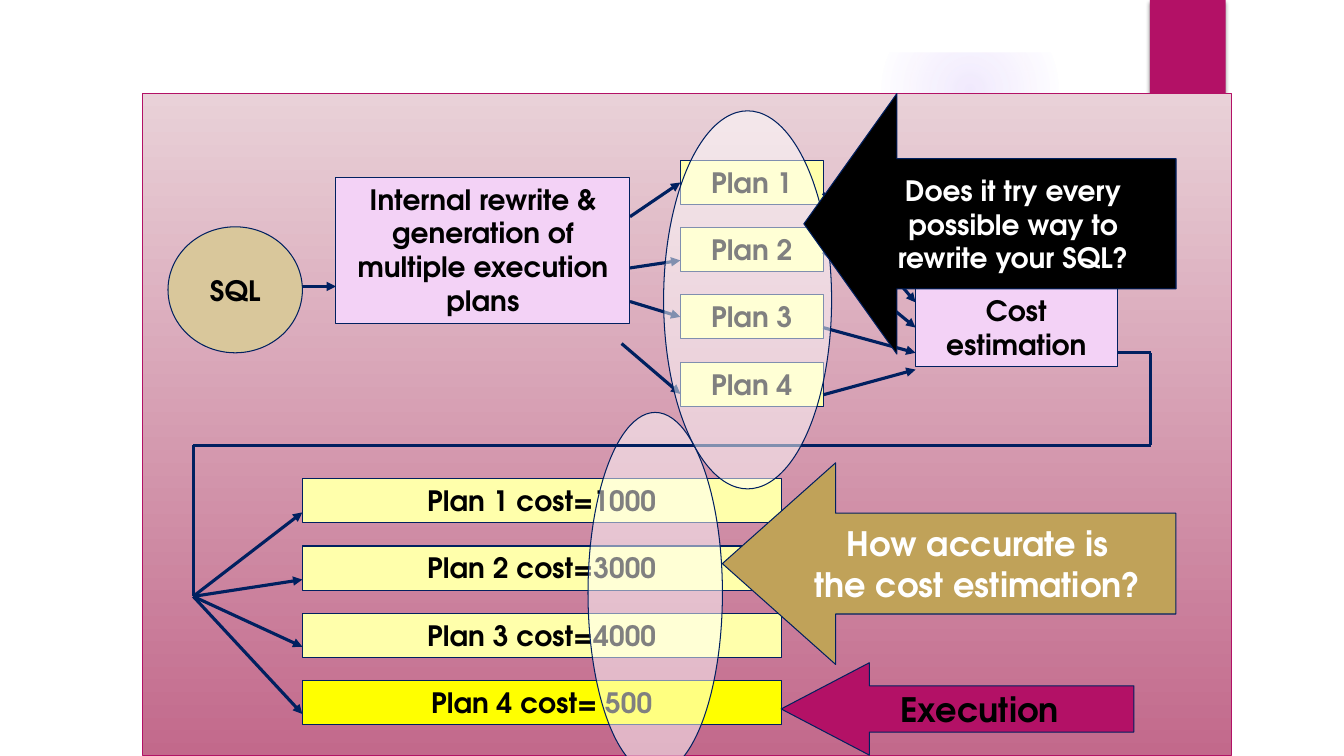
from lxml import etree
from pptx import Presentation
from pptx.dml.color import RGBColor
from pptx.enum.shapes import MSO_CONNECTOR, MSO_SHAPE
from pptx.enum.text import MSO_ANCHOR, PP_ALIGN
from pptx.oxml import parse_xml
from pptx.oxml.ns import nsdecls, qn
from pptx.util import Inches, Pt

RECTANGLE = MSO_SHAPE.RECTANGLE
ELLIPSE = MSO_SHAPE.OVAL
LEFT_ARROW = MSO_SHAPE.LEFT_ARROW
STRAIGHT = MSO_CONNECTOR.STRAIGHT
TOP, MIDDLE = MSO_ANCHOR.TOP, MSO_ANCHOR.MIDDLE
CENTER = PP_ALIGN.CENTER
LEFT_SIDE = 1

COLUMNS, ROWS = 160, 90
ROW_PITCH, PLAN_HEIGHT = 8, 5.25

FONT = "TeX Gyre Adventor"
NAVY, BLACK, WHITE = "002060", "000000", "FFFFFF"
MAGENTA, GOLD, SAND = "B31166", "C0A259", "D9C79B"
PINK, PALE_YELLOW, YELLOW = "F3D2F6", "FFFFAB", "FFFF00"
VIOLET = "9B6BF2"


def grid(cells):
    """Length of a number of grid cells, twelve to the inch."""
    return Inches(cells / 12)


def color(value):
    return RGBColor.from_string(value)


class Diagram:
    """Draws in the diagram's style on one slide, in grid columns and rows."""

    def __init__(self, presentation):
        self.slide = presentation.slides.add_slide(presentation.slide_layouts[6])

    def shape(self, kind, left, top, width, height, fill, line=NAVY):
        shape = self.slide.shapes.add_shape(
            kind, grid(left), grid(top), grid(width), grid(height))
        shape.shadow.inherit = False
        shape.fill.solid()
        shape.fill.fore_color.rgb = color(fill)
        if line:
            shape.line.color.rgb = color(line)
            shape.line.width = Pt(0.75)
        else:
            shape.line.fill.background()
        return shape

    def label(self, shape, text, size=20, font_color=BLACK, anchor=MIDDLE, wrap=False):
        frame = shape.text_frame
        frame.word_wrap = wrap
        frame.vertical_anchor = anchor
        frame.text = text
        for paragraph in frame.paragraphs:
            paragraph.alignment = CENTER
            for run in paragraph.runs:
                run.font.name = FONT
                run.font.size = Pt(size)
                run.font.bold = True
                run.font.color.rgb = color(font_color)

    def box(self, left, top, width, height, fill, text):
        box = self.shape(RECTANGLE, left, top, width, height, fill)
        self.label(box, text, anchor=TOP, wrap=True)
        return box

    def callout(self, left, top, width, height, fill, head, text, size, font_color):
        arrow = self.shape(LEFT_ARROW, left, top, width, height, fill)
        arrow.adjustments[0] = 0.5
        arrow.adjustments[1] = head
        self.label(arrow, text, size, font_color)

    def highlight(self, left, top, width, height):
        """Half-transparent white ellipse."""
        ellipse = self.shape(ELLIPSE, left, top, width, height, WHITE)
        tint = ellipse._element.spPr.find(qn("a:solidFill")).find(qn("a:srgbClr"))
        etree.SubElement(tint, qn("a:alpha"), val="50000")

    def line(self, start, end, arrow=True):
        connector = self.slide.shapes.add_connector(
            STRAIGHT, *(grid(cells) for cells in (*start, *end)))
        connector.line.color.rgb = color(NAVY)
        connector.line.width = Pt(2.25)
        properties = connector._element.spPr
        if arrow:
            etree.SubElement(properties.find(qn("a:ln")), qn("a:tailEnd"), type="triangle")
        etree.SubElement(properties, qn("a:effectLst"))
        return connector

    def glow(self, left, top, size):
        """Violet circle that fades out towards its rim."""
        circle = self.shape(ELLIPSE, left, top, size, size, VIOLET, None)
        stops = "".join(
            f'<a:gs pos="{position}000"><a:srgbClr val="{VIOLET}">'
            f'<a:alpha val="{opacity}000"/></a:srgbClr></a:gs>'
            for position, opacity in ((0, 14), (36, 7), (73, 0)))
        gradient = parse_xml(
            f'<a:gradFill {nsdecls("a")}><a:gsLst>{stops}</a:gsLst><a:path path="circle">'
            '<a:fillToRect l="50000" t="50000" r="50000" b="50000"/></a:path></a:gradFill>')
        properties = circle._element.spPr
        properties.replace(properties.find(qn("a:solidFill")), gradient)

    def tab(self, left, top, width, height):
        """Magenta tab with a soft shadow below it."""
        tab = self.shape(RECTANGLE, left, top, width, height, MAGENTA, None)
        tab._element.spPr.find(qn("a:effectLst")).append(parse_xml(
            f'<a:outerShdw {nsdecls("a")} blurRad="{Pt(3)}" dist="{Pt(2)}" dir="5400000">'
            f'<a:srgbClr val="{BLACK}"><a:alpha val="45000"/></a:srgbClr></a:outerShdw>'))

    def backdrop(self, left, top, width, height):
        backdrop = self.shape(RECTANGLE, left, top, width, height, WHITE, MAGENTA)
        backdrop.fill.gradient()
        backdrop.fill.gradient_angle = 270
        for stop, position, tint in zip(
                backdrop.fill.gradient_stops, (0, 1), ("E9D1D8", "C2698B")):
            stop.position = position
            stop.color.rgb = color(tint)


def main():
    presentation = Presentation()
    presentation.slide_width = grid(COLUMNS)
    presentation.slide_height = grid(ROWS)
    diagram = Diagram(presentation)

    diagram.glow(105, 0.1, 21)
    diagram.shape(RECTANGLE, 0, 0, COLUMNS, 6.24, WHITE, None)
    diagram.tab(136.9, 0, 9, 15)
    diagram.backdrop(17, 11.15, 129.6, 78.85)

    # Rewriting the statement into plans
    diagram.line((36, 34.1), (40, 34.1))
    diagram.box(40, 21.1, 35, 17.4, PINK,
                "Internal rewrite & generation of multiple execution plans")
    plans = [diagram.box(81, 19.1 + ROW_PITCH * index, 17, PLAN_HEIGHT,
                         PALE_YELLOW, f"Plan {index + 1}") for index in range(4)]
    rewrite_arrows = [diagram.line(start, end) for start, end in (
        ((75, 25.8), (81, 21.8)), ((75, 31.9), (81, 31)),
        ((75, 35.9), (81, 37.9)), ((74, 40.9), (81, 46.9)))]
    for index in (0, 2):
        rewrite_arrows[index].end_connect(plans[index], LEFT_SIDE)

    # Costs of the plans
    for index, cost in enumerate(("1000", "3000", "4000", " 500")):
        diagram.box(36, 57 + ROW_PITCH * index, 57, PLAN_HEIGHT,
                    YELLOW if index == 3 else PALE_YELLOW, f"Plan {index + 1} cost={cost}")
    diagram.callout(93, 78.9, 42, 11, MAGENTA, 0.955, "Execution", 24, BLACK)
    diagram.callout(86, 55.1, 54, 24, GOLD, 0.562,
                    "How accurate is\nthe cost estimation?", 24, WHITE)
    diagram.highlight(70, 49.1, 16, 43)

    # Estimating, and the way back to the costs
    for plan_row, estimate_row in ((23, 36), (30, 39), (39, 42), (47, 44)):
        diagram.line((98, plan_row), (109, estimate_row))
    route = [(132, 42), (137, 42), (137, 53), (23, 53), (23, 71)]
    for start, end in zip(route, route[1:]):
        diagram.line(start, end, arrow=False)
    for index in range(4):
        diagram.line(route[-1], (36, 61 + ROW_PITCH * index))
    diagram.box(109, 34.4, 24, 9.25, PINK, "Cost estimation")

    diagram.highlight(79, 13.2, 20, 45)
    diagram.callout(95.7, 11.15, 44.3, 31, BLACK, 0.357,
                    "Does it try every\npossible way to\nrewrite your SQL?", 20, WHITE)
    statement = diagram.shape(ELLIPSE, 20, 27, 16, 15, SAND)
    diagram.label(statement, "SQL")

    presentation.save("out.pptx")


if __name__ == "__main__":
    main()
